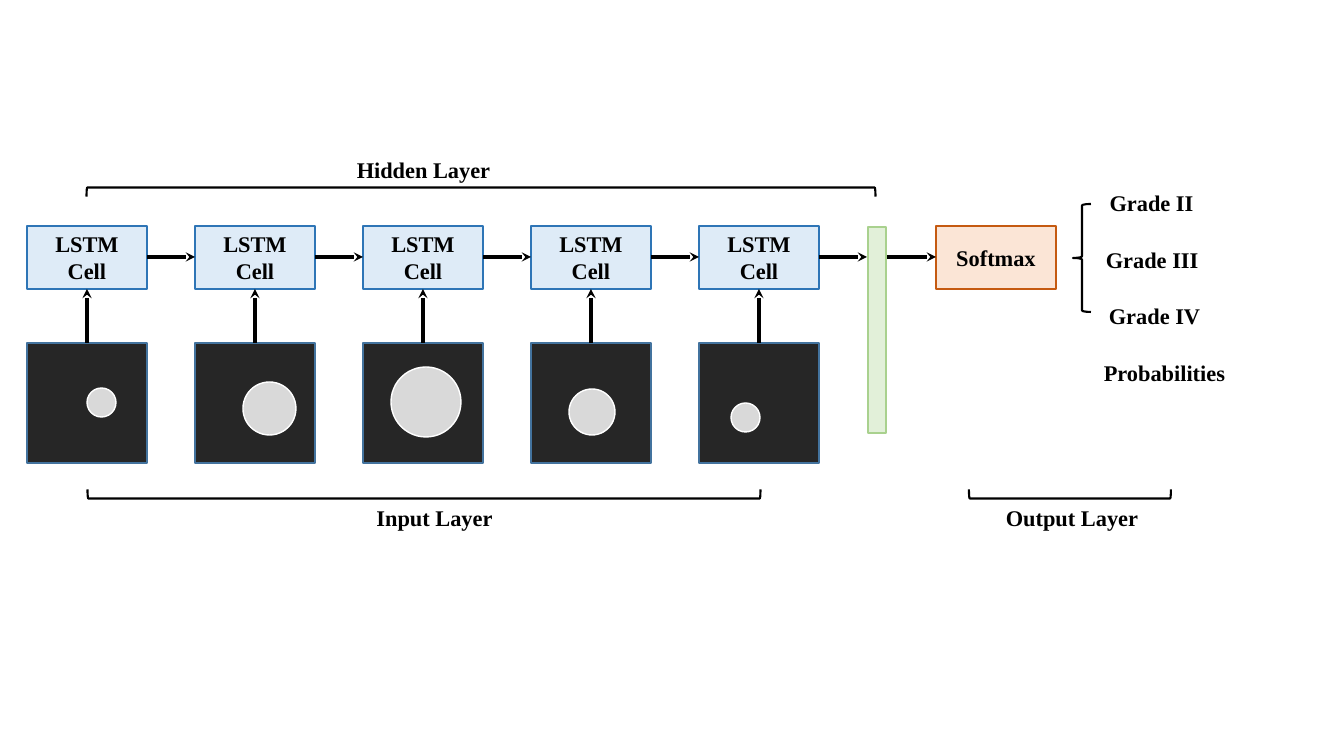
from lxml import etree
from pptx import Presentation
from pptx.dml.color import RGBColor
from pptx.enum.shapes import MSO_CONNECTOR, MSO_SHAPE
from pptx.enum.text import MSO_ANCHOR, PP_ALIGN
from pptx.oxml.ns import qn
from pptx.util import Pt

PX = 914400 / 100.8
RECT, OVAL = MSO_SHAPE.RECTANGLE, MSO_SHAPE.OVAL
BRACE, BRACKET = MSO_SHAPE.LEFT_BRACE, MSO_SHAPE.LEFT_BRACKET
STRAIGHT = MSO_CONNECTOR.STRAIGHT
LEFT, CENTER = PP_ALIGN.LEFT, PP_ALIGN.CENTER
TOP, MIDDLE = MSO_ANCHOR.TOP, MSO_ANCHOR.MIDDLE

BLACK = RGBColor(0, 0, 0)
WHITE = RGBColor(255, 255, 255)
DARK = RGBColor(0x26, 0x26, 0x26)
STEEL = RGBColor(0x43, 0x73, 0x9E)
GREY = RGBColor(0xD9, 0xD9, 0xD9)
SKY = RGBColor(0xDE, 0xEB, 0xF7)
BLUE = RGBColor(0x2E, 0x75, 0xB6)
PEACH = RGBColor(0xFB, 0xE5, 0xD6)
RUST = RGBColor(0xC5, 0x5A, 0x11)
MINT = RGBColor(0xE2, 0xF0, 0xD9)
GREEN = RGBColor(0xA9, 0xD1, 0x8E)

deck = Presentation()
deck.slide_width = round(1344 * PX)
deck.slide_height = round(756 * PX)
slide = deck.slides.add_slide(deck.slide_layouts[6])
shapes = slide.shapes


def write(box, text, align=CENTER, anchor=MIDDLE, size=16, font="Times New Roman"):
    frame = box.text_frame
    frame.word_wrap = True
    frame.vertical_anchor = anchor
    frame.text = text
    for para in frame.paragraphs:
        para.alignment = align
        para.font.size = Pt(size)
        para.font.name = font
        para.font.bold = True
        para.font.color.rgb = BLACK


def draw(kind, place, fill=None, line=BLACK, width=1):
    shape = shapes.add_shape(kind, *[round(n * PX) for n in place])
    shape.shadow.inherit = False
    if fill is None:
        shape.fill.background()
    else:
        shape.fill.solid()
        shape.fill.fore_color.rgb = fill
    shape.line.color.rgb = line
    shape.line.width = Pt(width)
    return shape


SIDE, PITCH, START = 120, 168, 27
CELL_TOP, CELL_HIGH, SCAN_TOP, MID = 226, 63, 343, 257
spots = [(87, 388, 29), (243, 382, 53), (391, 367, 70), (569, 389, 46), (731, 403, 29)]
arrows = [(887, MID, 936, MID)]

for step, (left, top, size) in enumerate(spots):
    x = START + step * PITCH
    draw(RECT, (x, SCAN_TOP, SIDE, SIDE), DARK, STEEL)
    draw(OVAL, (left, top, size, size), GREY, WHITE)
    cell = draw(RECT, (x, CELL_TOP, SIDE, CELL_HIGH), SKY, BLUE)
    write(cell, "LSTM\nCell")
    mid = x + SIDE // 2
    arrows.append((mid, SCAN_TOP, mid, CELL_TOP + CELL_HIGH))
    arrows.append((x + SIDE, MID, x + PITCH, MID))

draw(RECT, (868, 227, 18, 206), MINT, GREEN)
write(draw(RECT, (936, CELL_TOP, SIDE, CELL_HIGH), PEACH, RUST), "Softmax")

for ends in arrows:
    arrow = shapes.add_connector(STRAIGHT, *[round(n * PX) for n in ends])
    arrow.line.color.rgb = BLACK
    arrow.line.width = Pt(2.25)
    props = arrow.line._get_or_add_ln()
    etree.SubElement(props, qn("a:tailEnd"), type="stealth")
    etree.SubElement(arrow._element.spPr, qn("a:effectLst"))

draw(BRACE, (1073, 204, 18, 108), width=1.5)
for x, y, span, turn in [(481, 192, 789, 90), (424, 494, 673, 270), (1070, 494, 202, 270)]:
    bracket = draw(BRACKET, (x - 4.5, y - span / 2, 9, span), width=1.5)
    bracket.rotation = turn

labels = [
    ("Hidden Layer", 343, 151, 161, CENTER),
    ("Input Layer", 363, 499, 143, CENTER),
    ("Output Layer", 990, 499, 164, CENTER),
    ("Grade II", 1090, 184, 123, CENTER),
    ("Grade III", 1096, 241, 128, LEFT),
    ("Grade IV", 1099, 297, 124, LEFT),
    ("Probabilities", 1082, 354, 165, CENTER),
]
for text, x, y, wide, align in labels:
    label = shapes.add_textbox(*[round(n * PX) for n in (x, y, wide, 37)])
    write(label, text, align=align, anchor=TOP)

deck.save("out.pptx")
